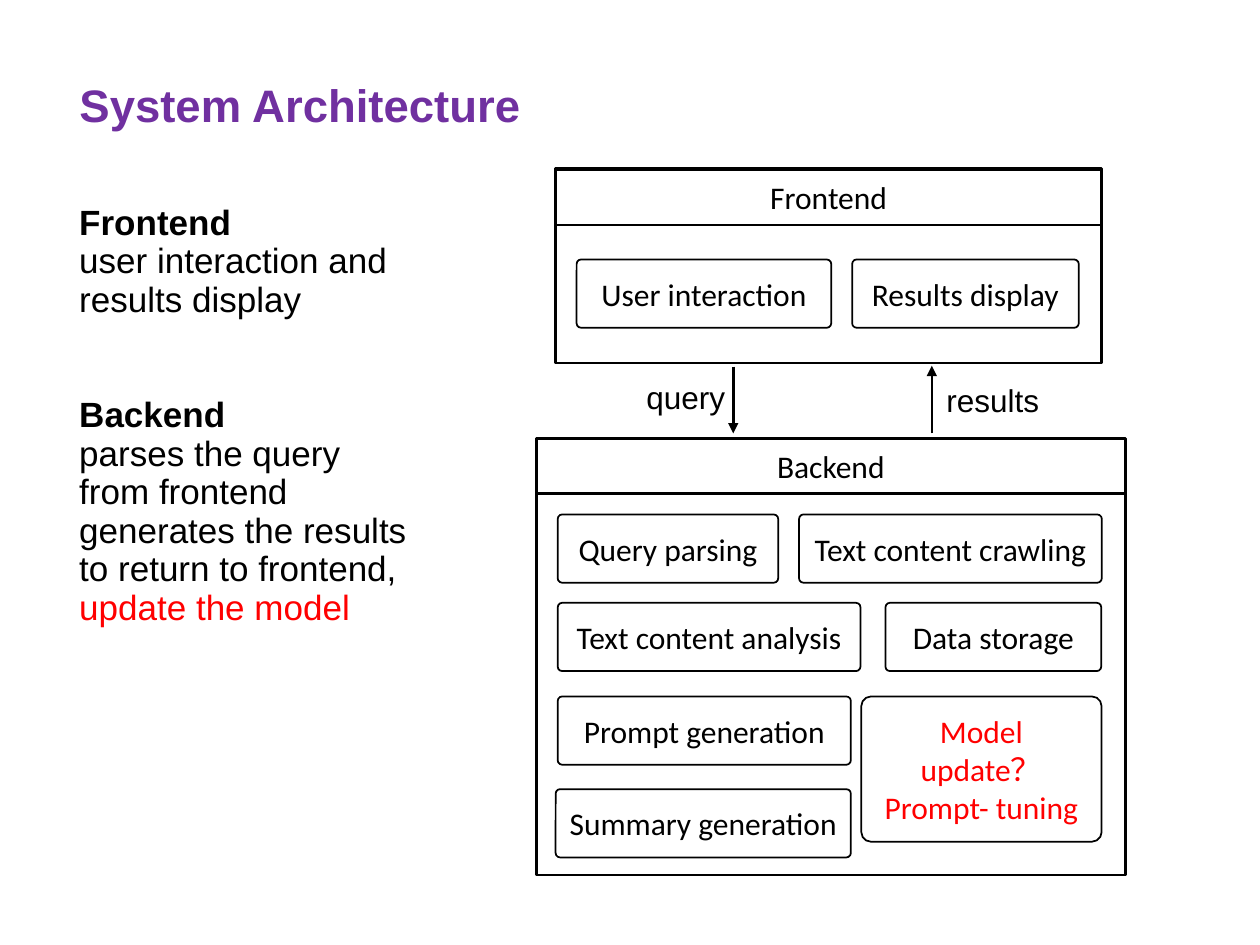
from lxml.etree import SubElement
from pptx import Presentation
from pptx.dml.color import RGBColor
from pptx.enum.shapes import MSO_CONNECTOR as Connector, MSO_SHAPE as Shape
from pptx.enum.text import MSO_ANCHOR as Anchor, PP_ALIGN as Align
from pptx.oxml.ns import qn
from pptx.util import Pt

COLORS = {"ink": "000000", "paper": "FFFFFF", "title": "7030A0", "alert": "FF0000"}


def add_span(para, text, size, color="ink", font="Arial", bold=False):
    span = para.add_run()
    span.text = text
    span.font.name = font
    span.font.size = Pt(size)
    span.font.bold = bold
    span.font.color.rgb = RGBColor.from_string(COLORS[color])


def add_box(kind, bounds, line_width, lines=(), color="ink"):
    """Add a white outlined box with one centred paragraph per line."""
    box = page.shapes.add_shape(kind, *map(Pt, bounds))
    box.shadow.inherit = False
    box.fill.solid()
    box.fill.fore_color.rgb = RGBColor.from_string(COLORS["paper"])
    box.line.color.rgb = RGBColor.from_string(COLORS["ink"])
    box.line.width = Pt(line_width)
    if kind == Shape.ROUNDED_RECTANGLE:
        box.adjustments[0] = 0.066
    frame = box.text_frame
    frame.word_wrap = True
    frame.vertical_anchor = Anchor.MIDDLE
    for index, text in enumerate(lines):
        para = frame.add_paragraph() if index else frame.paragraphs[0]
        para.alignment = Align.CENTER
        add_span(para, text, 18, color, "Calibri")


deck = Presentation()
deck.slide_width, deck.slide_height = Pt(720), Pt(540)
page = deck.slides.add_slide(deck.slide_layouts[5])

# Title
title = page.shapes.title
title.left, title.top, title.width, title.height = Pt(38.2), Pt(40.3), Pt(648), Pt(39)
title.text_frame.vertical_anchor = Anchor.MIDDLE
title_para = title.text_frame.paragraphs[0]
title_para.alignment = Align.LEFT
add_span(title_para, "System Architecture", 26, "title", bold=True)

# Description: space before, bold, then the spans of each paragraph
description = page.shapes.add_textbox(Pt(38.2), Pt(113), Pt(208), Pt(358.5)).text_frame
description.word_wrap = True
paragraphs = [
    (0, True, [("Frontend", "ink")]),
    (0, False, [("user interaction and results display", "ink")]),
    (44, True, [("Backend", "ink")]),
    (0, False, [
        ("parses the query from frontend generates the results to return to frontend, ", "ink"),
        ("update the model", "alert"),
    ]),
]
for index, (space, bold, spans) in enumerate(paragraphs):
    para = description.add_paragraph() if index else description.paragraphs[0]
    para.line_spacing = Pt(22)
    para.space_before = Pt(space)
    for text, color in spans:
        add_span(para, text, 20, color, bold=bold)

# Frames with their header bars: left, width, header top, body top, body height
frames = [
    ("Frontend", 317.5, 312, 97, 96.5, 111),
    ("Backend", 306.5, 336.5, 250.5, 264, 236),
]
for name, left, width, header_top, body_top, body_height in frames:
    add_box(Shape.RECTANGLE, (left, body_top, width, body_height), 1.5)
    add_box(Shape.RECTANGLE, (left, header_top, width, 31.5), 1.5, [name])

# Modules, row by row: top, then (name, left, width)
MODULE_HEIGHT = 39
module_rows = [
    (148.3, [("User interaction", 329.5, 145.5), ("Results display", 487, 129.5)]),
    (294, [("Query parsing", 318.7, 126), ("Text content crawling", 456.6, 173)]),
    (344.5, [("Text content analysis", 318.7, 173), ("Data storage", 506, 123.3)]),
    (398, [("Prompt generation", 318.7, 167.5)]),
    (451, [("Summary generation", 317.5, 168.7)]),
]
for top, modules in module_rows:
    for name, left, width in modules:
        add_box(Shape.ROUNDED_RECTANGLE, (left, top, width, MODULE_HEIGHT), 1, [name])
add_box(Shape.ROUNDED_RECTANGLE, (492.2, 398, 137.3, 83), 1,
        ["Model update？", "Prompt- tuning"], "alert")

# Arrows between the frames with their labels
arrows = [
    ("query", 419, 209.5, 247.7, 362.2, 212.4, 65.5),
    ("results", 532.5, 247.7, 209, 533.7, 214.3, 83),
]
for name, x, start, end, label_left, label_top, label_width in arrows:
    arrow = page.shapes.add_connector(Connector.STRAIGHT, Pt(x), Pt(start), Pt(x), Pt(end))
    arrow.line.color.rgb = RGBColor.from_string(COLORS["ink"])
    arrow.line.width = Pt(1.5)
    SubElement(arrow.line._get_or_add_ln(), qn("a:tailEnd"), type="triangle")
    SubElement(arrow._element.spPr, qn("a:effectLst"))
    label = page.shapes.add_textbox(Pt(label_left), Pt(label_top), Pt(label_width), Pt(29))
    label.text_frame.word_wrap = True
    add_span(label.text_frame.paragraphs[0], name, 18)

deck.save("out.pptx")
